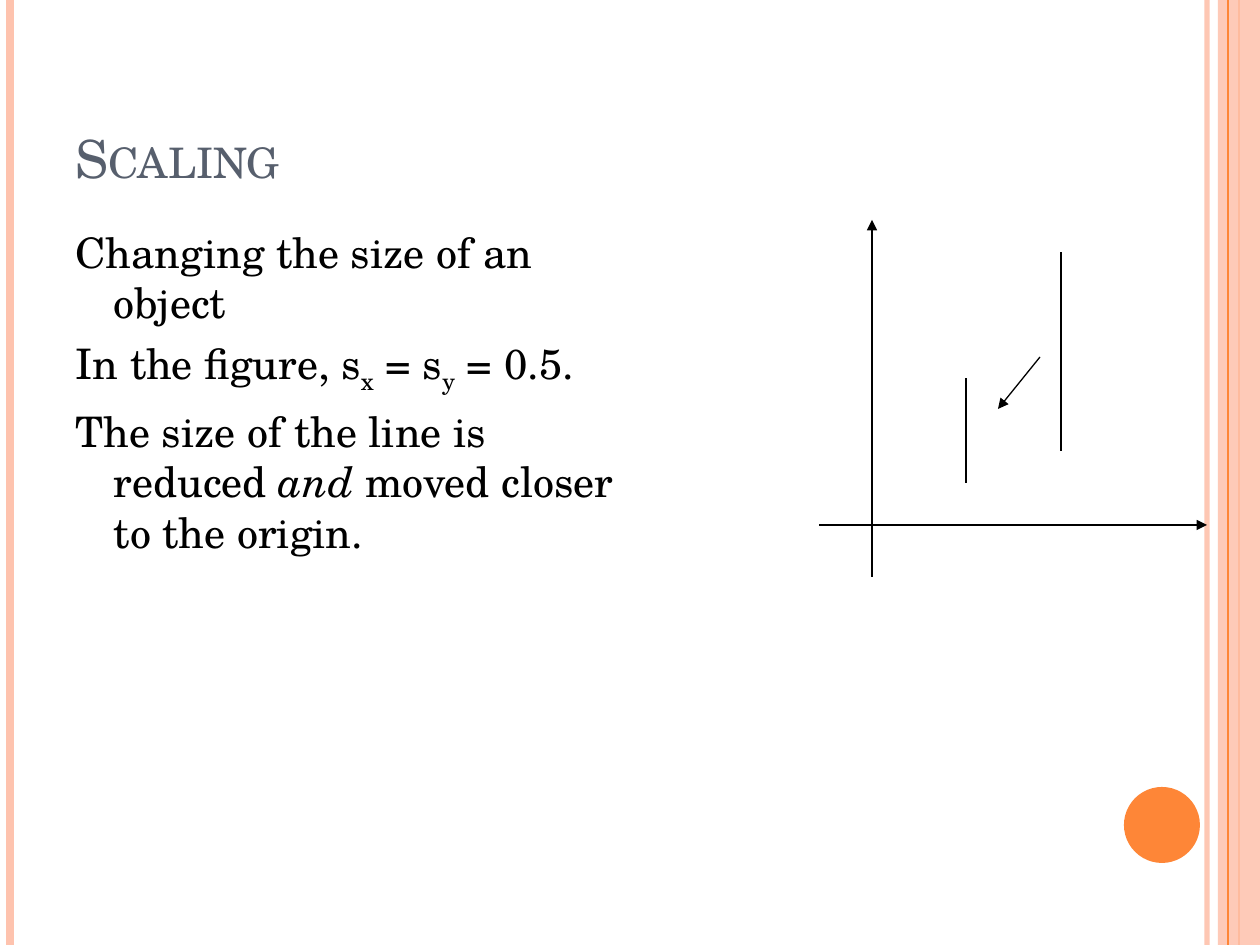
from lxml import etree
from pptx import Presentation
from pptx.dml.color import RGBColor
from pptx.enum.shapes import MSO_CONNECTOR, MSO_SHAPE
from pptx.enum.text import MSO_ANCHOR, MSO_AUTO_SIZE, PP_ALIGN
from pptx.oxml.ns import qn
from pptx.util import Pt

STRAIGHT = MSO_CONNECTOR.STRAIGHT
RECTANGLE, OVAL = MSO_SHAPE.RECTANGLE, MSO_SHAPE.OVAL
TOP, BOTTOM = MSO_ANCHOR.TOP, MSO_ANCHOR.BOTTOM
NO_FIT = MSO_AUTO_SIZE.NONE
LEFT = PP_ALIGN.LEFT

WIDTH, HEIGHT = 1260, 945
SCALE = 914400 / 126
COLORS = {"peach": "FEC3AE", "orange": "FE8637", "slate": "575F6D", "black": "000000"}
FONT = "TeX Gyre Schola"

BODY = [
    [("Changing the size of an object", {})],
    [
        ("In the figure, s", {}),
        ("x", {"baseline": -25}),
        (" = s", {}),
        ("y", {"baseline": -25}),
        (" = 0.5.", {}),
    ],
    [
        ("The size of the line is reduced ", {}),
        ("and", {"italic": True}),
        (" moved closer to the origin.", {}),
    ],
]


def emu(px):
    return round(px * SCALE)


def color(name):
    return RGBColor.from_string(COLORS[name])


def set_opacity(properties, percent):
    target = next(properties.iter(qn("a:srgbClr")))
    etree.SubElement(target, qn("a:alpha"), val=str(percent * 1000))


def add_span(para, text, size=24, fill="black", italic=False, baseline=0, small_caps=False):
    span = para.add_run()
    span.text = text
    span.font.name = FONT
    span.font.size = Pt(size)
    span.font.italic = italic
    span.font.color.rgb = color(fill)
    if baseline:
        span.font._element.set("baseline", str(baseline * 1000))
    if small_caps:
        span.font._element.set("cap", "small")


class SlideBuilder:
    def __init__(self, deck):
        self.page = deck.slides.add_slide(deck.slide_layouts[1])

    def placeholder(self, index, left, top, width, height, anchor):
        box = self.page.placeholders[index]
        box.left, box.top, box.width, box.height = map(emu, (left, top, width, height))
        frame = box.text_frame
        frame.word_wrap = True
        frame.auto_size = NO_FIT
        frame.vertical_anchor = anchor
        return frame

    def title(self, text, *bounds):
        para = self.placeholder(0, *bounds, BOTTOM).paragraphs[0]
        para.alignment = LEFT
        add_span(para, text, size=30, fill="slate", small_caps=True)

    def body(self, paragraphs, *bounds):
        frame = self.placeholder(1, *bounds, TOP)
        for number, spans in enumerate(paragraphs):
            para = frame.add_paragraph() if number else frame.paragraphs[0]
            para.alignment = LEFT
            para.space_before = Pt(6)
            properties = para._p.get_or_add_pPr()
            properties.set("marL", str(emu(38)))
            properties.set("indent", str(emu(-38)))
            etree.SubElement(properties, qn("a:buNone"))
            for text, style in spans:
                add_span(para, text, **style)

    def shape(self, kind, left, top, width, height, fill, opacity=100):
        box = self.page.shapes.add_shape(kind, *map(emu, (left, top, width, height)))
        box.shadow.inherit = False
        box.fill.solid()
        box.fill.fore_color.rgb = color(fill)
        box.line.fill.background()
        if opacity < 100:
            set_opacity(box._element.spPr, opacity)

    def line(self, x1, y1, x2, y2, stroke="black", weight=0.75, opacity=100, arrow=False):
        connector = self.page.shapes.add_connector(STRAIGHT, *map(emu, (x1, y1, x2, y2)))
        connector.line.color.rgb = color(stroke)
        connector.line.width = Pt(weight)
        properties = connector._element.spPr
        if opacity < 100:
            set_opacity(properties, opacity)
        if arrow:
            etree.SubElement(connector.line._get_or_add_ln(), qn("a:tailEnd"), type="triangle")
        etree.SubElement(properties, qn("a:effectLst"))

    def stripe(self, x, stroke, weight, opacity=100):
        self.line(x, 0, x, HEIGHT, stroke, weight, opacity)


def main():
    deck = Presentation()
    deck.slide_width, deck.slide_height = emu(WIDTH), emu(HEIGHT)
    slide = SlideBuilder(deck)

    slide.stripe(1207, "peach", 3, opacity=93)
    slide.stripe(10, "peach", 4.5)
    slide.stripe(1239, "orange", 1.5)
    slide.shape(RECTANGLE, 1218, 0, 42, HEIGHT, "peach", opacity=87)
    slide.stripe(1228, "orange", 0.75)
    slide.shape(OVAL, 1124, 787, 76, 76, "orange")

    slide.title("Scaling", 63, 38, 1029, 157)
    slide.body(BODY, 63, 220, 599, 624)

    slide.line(872, 577, 872, 220, arrow=True)
    slide.line(819, 525, 1207, 525, arrow=True)
    slide.line(1061, 451, 1061, 252)
    slide.line(966, 483, 966, 378)
    slide.line(1040, 357, 998, 409, arrow=True)

    deck.save("out.pptx")


if __name__ == "__main__":
    main()
